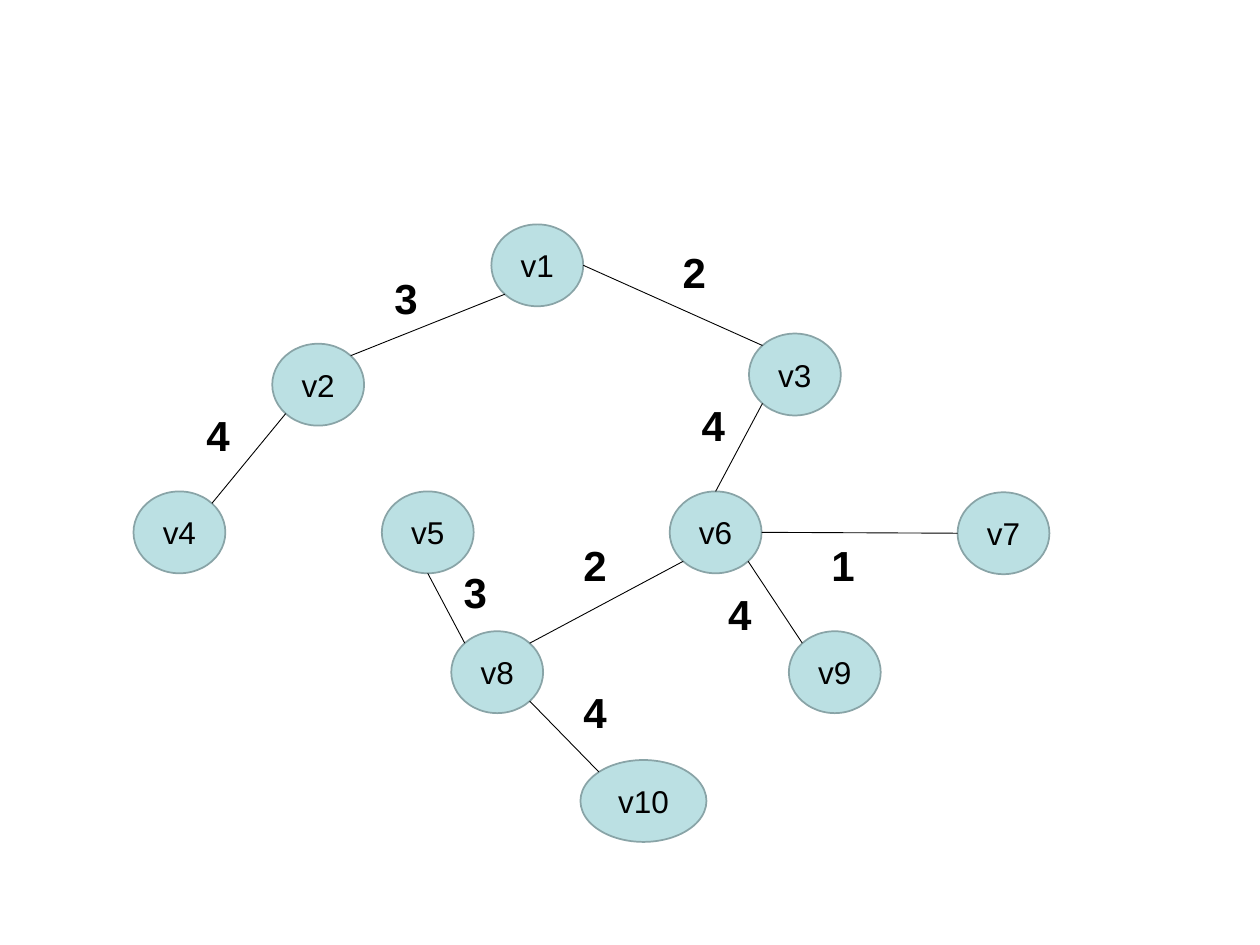
"""Build a slide with a weighted tree of ten vertices."""
from math import sqrt

from lxml.etree import SubElement
from pptx import Presentation
from pptx.dml.color import RGBColor
from pptx.enum.shapes import MSO_CONNECTOR as Connector, MSO_SHAPE as Shape
from pptx.enum.text import MSO_ANCHOR as Anchor, MSO_AUTO_SIZE as AutoSize, PP_ALIGN as Align
from pptx.oxml.ns import qn
from pptx.util import Pt

COLORS = {"vertex": "BBE0E3", "outline": "89A4A7", "ink": "000000"}
VERTEX_WIDTH, WIDE_VERTEX, VERTEX_HEIGHT = 52.5, 72, 46.8
WEIGHT_WIDTH, WEIGHT_HEIGHT = 27.4, 36
DIAGONAL = 1 / sqrt(2)
SIDES = {
    "top": (0, -1), "bottom": (0, 1), "left": (-1, 0), "right": (1, 0),
    "top left": (-DIAGONAL, -DIAGONAL), "top right": (DIAGONAL, -DIAGONAL),
    "bottom left": (-DIAGONAL, DIAGONAL), "bottom right": (DIAGONAL, DIAGONAL),
}


def write(holder, text, size=18, bold=False, anchor=Anchor.MIDDLE):
    frame = holder.text_frame
    frame.vertical_anchor = anchor
    frame.word_wrap = False
    paragraph = frame.paragraphs[0]
    paragraph.alignment = Align.CENTER
    run = paragraph.add_run()
    run.text = text
    run.font.name = "Arial"
    run.font.size = Pt(size)
    run.font.bold = bold
    run.font.color.rgb = RGBColor.from_string(COLORS["ink"])


def rim_point(vertex, side):
    across, down = SIDES[side]
    x = vertex.left + vertex.width * (1 + across) / 2
    y = vertex.top + vertex.height * (1 + down) / 2
    return round(x), round(y)


deck = Presentation()
deck.slide_width, deck.slide_height = Pt(720), Pt(540)
slide = deck.slides.add_slide(deck.slide_layouts[6])

vertex_places = {
    "v1": (280.8, 128.2), "v2": (155.6, 196.4), "v3": (428, 190.6),
    "v4": (76.3, 280.8), "v5": (218.2, 280.8), "v6": (382.7, 280.8),
    "v7": (547.2, 281.3), "v8": (257.9, 360.7), "v9": (450.8, 360.7),
    "v10": (331.7, 434.3),
}
vertices = {}
for name, (left, top) in vertex_places.items():
    width = WIDE_VERTEX if name == "v10" else VERTEX_WIDTH
    vertex = slide.shapes.add_shape(
        Shape.FLOWCHART_CONNECTOR, Pt(left), Pt(top), Pt(width), Pt(VERTEX_HEIGHT))
    vertex.shadow.inherit = False
    vertex.fill.solid()
    vertex.fill.fore_color.rgb = RGBColor.from_string(COLORS["vertex"])
    vertex.line.color.rgb = RGBColor.from_string(COLORS["outline"])
    vertex.line.width = Pt(1)
    write(vertex, name)
    vertices[name] = vertex

edges = [
    ("v1", "right", "v3", "top left", "2", 383, 137.5),
    ("v1", "bottom left", "v2", "top right", "3", 218.2, 151.9),
    ("v2", "bottom left", "v4", "top right", "4", 110.9, 230.4),
    ("v3", "bottom left", "v6", "top", "4", 393.8, 224.6),
    ("v6", "right", "v7", "left", "1", 468, 304.6),
    ("v6", "bottom left", "v8", "top right", "2", 326.2, 304.6),
    ("v5", "bottom", "v8", "top left", "3", 257.8, 320.4),
    ("v6", "bottom right", "v9", "top left", "4", 409, 332.6),
    ("v8", "bottom right", "v10", "top left", "4", 326.2, 388.8),
]
for start, start_side, end, end_side, weight, left, top in edges:
    edge = slide.shapes.add_connector(
        Connector.STRAIGHT,
        *rim_point(vertices[start], start_side), *rim_point(vertices[end], end_side))
    edge.line.color.rgb = RGBColor.from_string(COLORS["ink"])
    edge.line.width = Pt(0.5)
    SubElement(edge._element.spPr, qn("a:effectLst"))

    weight_label = slide.shapes.add_textbox(
        Pt(left), Pt(top), Pt(WEIGHT_WIDTH), Pt(WEIGHT_HEIGHT))
    write(weight_label, weight, size=24, bold=True, anchor=Anchor.TOP)
    weight_label.text_frame.auto_size = AutoSize.SHAPE_TO_FIT_TEXT

deck.save("out.pptx")
